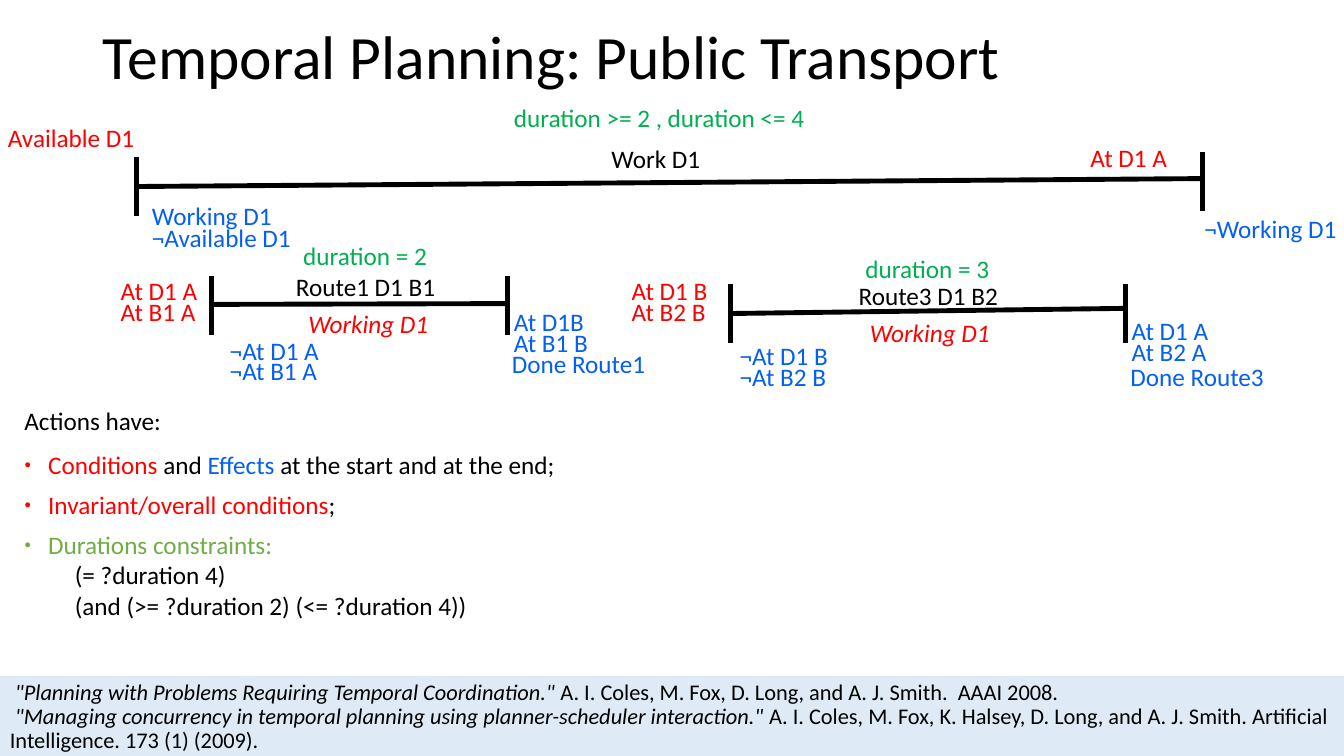
from lxml import etree
from pptx import Presentation
from pptx.dml.color import RGBColor
from pptx.enum import shapes, text
from pptx.oxml import ns
from pptx.util import Cm, Pt

BLACK = RGBColor(0, 0, 0)
RED = RGBColor(0xFF, 0, 0)
BLUE = RGBColor(0x05, 0x5F, 0xF1)
GREEN = RGBColor(0, 0xB0, 0x50)
LIGHT_GREEN = RGBColor(0x70, 0xAD, 0x47)
PALE_BLUE = RGBColor(0xDE, 0xEB, 0xF7)


def add_run(para, words, color=BLACK, size=18, italic=False):
    span = para.add_run()
    span.text = words
    span.font.name = "Calibri"
    span.font.size = Pt(size)
    span.font.italic = italic
    span.font.color.rgb = color


def add_line(x1, y1, x2, y2):
    line = slide.shapes.add_connector(
        shapes.MSO_CONNECTOR.STRAIGHT, Cm(x1), Cm(y1), Cm(x2), Cm(y2))
    line.line.color.rgb = BLACK
    line.line.width = Pt(3.5)
    etree.SubElement(line.element.spPr, ns.qn("a:effectLst"))


deck = Presentation()
deck.slide_width, deck.slide_height = Cm(33.87), Cm(19.05)
slide = deck.slides.add_slide(deck.slide_layouts[1])
title, body = slide.placeholders

title.left, title.top, title.width, title.height = Cm(2.34), Cm(-0.33), Cm(29.21), Cm(3.68)
title.text_frame.vertical_anchor = text.MSO_ANCHOR.MIDDLE
title.text_frame.auto_size = text.MSO_AUTO_SIZE.NONE
para = title.text_frame.paragraphs[0]
para.alignment = text.PP_ALIGN.LEFT
para.line_spacing = 0.9
add_run(para, "Temporal Planning: Public Transport", size=44)

footer = slide.shapes.add_shape(
    shapes.MSO_SHAPE.RECTANGLE, 0, Cm(17.04), deck.slide_width, Cm(2.36))
footer.shadow.inherit = False
footer.fill.solid()
footer.fill.fore_color.rgb = PALE_BLUE
footer.line.fill.background()
footer.text_frame.vertical_anchor = text.MSO_ANCHOR.TOP
references = [
    (' "Planning with Problems Requiring Temporal Coordination."',
     " A. I. Coles, M. Fox, D. Long, and A. J. Smith.  AAAI 2008."),
    (' "Managing concurrency in temporal planning using planner-scheduler interaction." ',
     "A. I. Coles, M. Fox, K. Halsey, D. Long, and A. J. Smith. "
     "Artificial Intelligence. 173 (1) (2009)."),
]
for index, (paper, authors) in enumerate(references):
    frame = footer.text_frame
    para = frame.add_paragraph() if index else frame.paragraphs[0]
    para.alignment = text.PP_ALIGN.LEFT
    para.line_spacing = 0.9
    add_run(para, paper, size=16, italic=True)
    add_run(para, authors, size=16)

TICK = 1.48
actions = [
    (3.43, 3.96, 4.70, 30.30, 3.84, 4.50),
    (5.33, 6.96, 7.67, 12.80, 6.96, 7.65),
    (18.42, 7.16, 7.90, 28.37, 7.16, 7.77),
]
for start, start_top, start_bar, end, end_top, end_bar in actions:
    add_line(start, start_bar, end, end_bar)
    add_line(start, start_top, start, start_top + TICK)
    add_line(end, end_top, end, end_top + TICK)

labels = {
    BLACK: [
        ("Work D1", 15.16, 3.48, 2.77),
        ("Route1 D1 B1", 7.21, 6.71, 4.06),
        ("Route3 D1 B2", 21.39, 6.93, 4.06),
    ],
    GREEN: [
        ("duration >= 2 , duration <= 4", 12.7, 2.46, 7.95),
        ("duration = 2", 7.39, 5.94, 3.68),
        ("duration = 3", 21.56, 6.25, 3.68),
    ],
    RED: [
        ("Available D1", -0.05, 2.97, 3.73),
        ("At D1 A", 27.23, 3.45, 2.46),
        ("At D1 A", 2.79, 6.81, 2.46),
        ("At B1 A", 2.79, 7.34, 2.41),
        ("At D1 B", 15.67, 6.81, 2.44),
        ("At B2 B", 15.67, 7.34, 2.39),
        ("Working D1", 7.52, 7.65, 3.56),
        ("Working D1", 21.67, 7.87, 3.56),
    ],
    BLUE: [
        ("Working D1", 3.58, 4.93, 3.56),
        ("¬Available D1", 3.58, 5.49, 4.06),
        ("¬Working D1", 30.1, 5.26, 3.89),
        ("¬At D1 A", 5.54, 8.33, 2.79),
        ("¬At B1 A", 5.54, 8.84, 2.74),
        ("At D1B", 12.7, 7.59, 2.29),
        ("At B1 B", 12.7, 8.13, 2.41),
        ("Done Route1", 12.65, 8.66, 3.91),
        ("¬At D1 B", 18.39, 8.46, 2.79),
        ("¬At B2 B", 18.39, 8.97, 2.74),
        ("At D1 A", 28.27, 7.82, 2.44),
        ("At B2 A", 28.27, 8.36, 2.41),
        ("Done Route3", 28.24, 8.99, 3.91),
    ],
}
for color, group in labels.items():
    for words, left, top, width in group:
        box = slide.shapes.add_textbox(Cm(left), Cm(top), Cm(width), Cm(1.02))
        box.text_frame.word_wrap = False
        invariant = color == RED and words == "Working D1"
        add_run(box.text_frame.paragraphs[0], words, color, italic=invariant)

body.left, body.top, body.width, body.height = Cm(0.36), Cm(10.08), Cm(31.19), Cm(5.7)
body.text_frame.auto_size = text.MSO_AUTO_SIZE.NONE
body.text_frame.vertical_anchor = text.MSO_ANCHOR.TOP
points = [
    (0, 0, False, [("Actions have:", BLACK)]),
    (10, 0.6, True, [("Conditions ", RED), ("and ", BLACK), ("Effects", BLUE),
                     (" at the start and at the end;", BLACK)]),
    (7, 0.6, True, [("Invariant/overall conditions", RED), (";", BLACK)]),
    (7, 0.6, True, [("Durations constraints:", LIGHT_GREEN)]),
    (0, 1.27, False, [("(= ?duration 4)", BLACK)]),
    (0, 1.27, False, [("(and (>= ?duration 2) (<= ?duration 4))", BLACK)]),
]
for index, (space, indent, bulleted, spans) in enumerate(points):
    frame = body.text_frame
    para = frame.add_paragraph() if index else frame.paragraphs[0]
    para.level = 1 if indent > 1 else 0
    para.line_spacing = 1.0
    para.space_before = Pt(space)
    for words, color in spans:
        add_run(para, words, color)
    properties = para._p.get_or_add_pPr()
    properties.set("marL", str(Cm(indent)))
    properties.set("indent", str(-Cm(indent) if bulleted else 0))
    if bulleted:
        etree.SubElement(properties, ns.qn("a:buSzPct"), val="45000")
        etree.SubElement(properties, ns.qn("a:buChar"), char="●")
    else:
        etree.SubElement(properties, ns.qn("a:buNone"))

deck.save("out.pptx")
